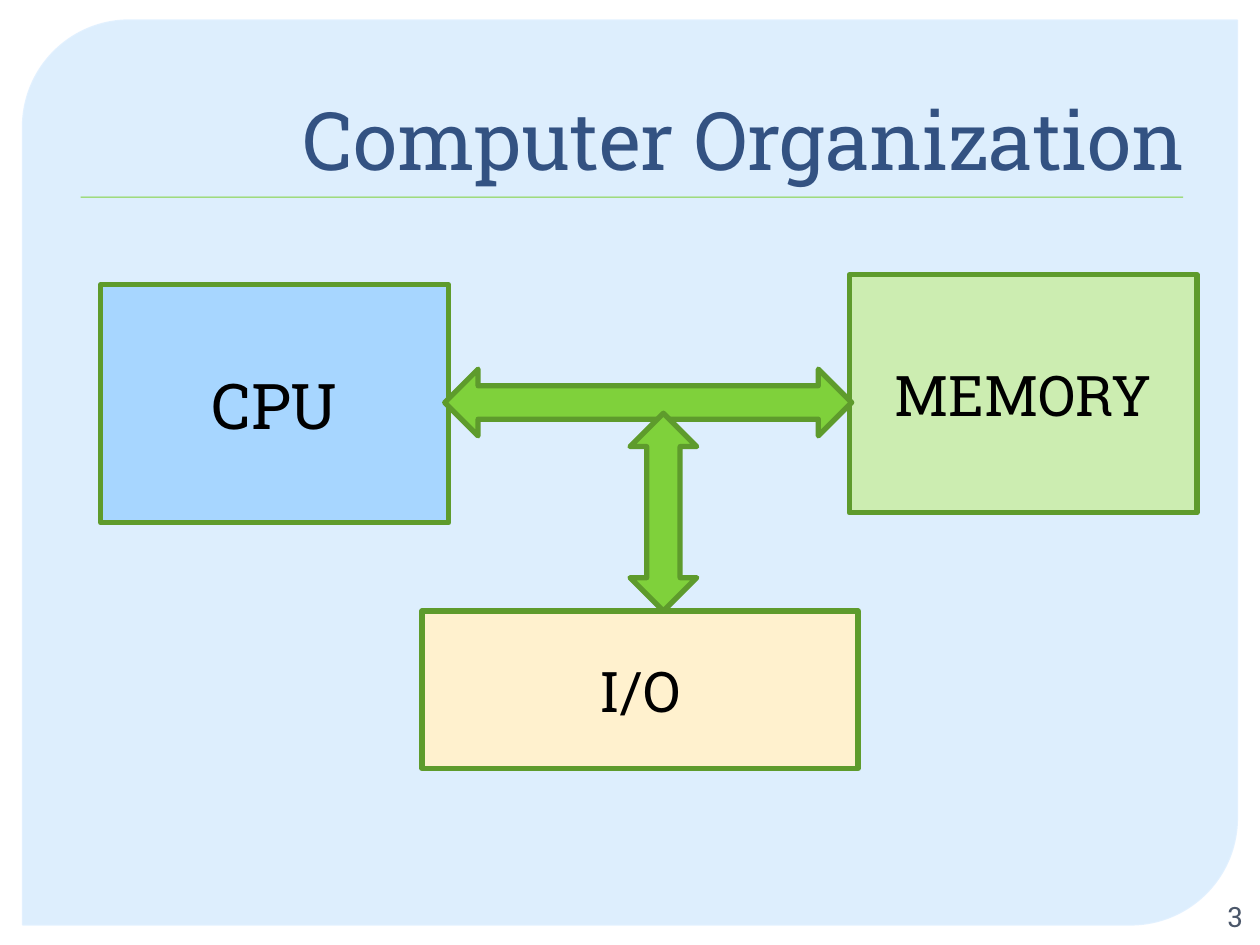
from pptx import Presentation
from pptx.dml.color import RGBColor
from pptx.enum.shapes import MSO_SHAPE
from pptx.enum.text import MSO_ANCHOR, PP_ALIGN
from pptx.oxml.ns import qn
from pptx.util import Inches, Pt
from lxml.etree import SubElement

THEME = {
    "font": "Roboto Slab",
    "panel": "CBE5FC", "panel_line": "E0F0FF",
    "green": "7FD13B", "outline": "5E9B2C",
    "title": "335282", "number": "4B576A", "label": "000000",
    "title_size": 46, "number_size": 16, "large": 36, "medium": 32,
    "outline_width": 3,
}

PANEL = (0.18, 0.16, 9.64, 7.18)
RULE = (0.64, 1.56, 8.75, 0.01)
TITLE = ("Computer Organization", (0.5, 0.28, 9, 1.25))
NUMBER = ("3", (9.45, 7.12, 0.51, 0.3))
UNITS = [
    ("CPU", (0.8, 2.26, 2.76, 1.89), "A7D6FF", "large"),
    ("MEMORY", (6.74, 2.18, 2.76, 1.89), "CCEDB1", "medium"),
    ("I/O", (3.35, 4.85, 3.46, 1.25), "FFF1CE", "medium"),
]
BUSES = [
    ((3.53, 2.93, 3.23, 0.53), 0),
    ((4.48, 3.8, 1.57, 0.53), 90),
]


def color(name):
    return RGBColor.from_string(THEME.get(name, name))


def set_opacity(color_format_parent, percent):
    tint = color_format_parent.find(qn("a:solidFill"))[0]
    SubElement(tint, qn("a:alpha")).set("val", str(percent * 1000))


def add_figure(page, kind, place, fill, line=None, width=0):
    shape = page.shapes.add_shape(kind, *map(Inches, place))
    shape.shadow.inherit = False
    shape.fill.solid()
    shape.fill.fore_color.rgb = color(fill)
    if line:
        shape.line.color.rgb = color(line)
        shape.line.width = Pt(width)
    else:
        shape.line.fill.background()
    return shape


def write(shape, text, size, ink, align, anchor):
    frame = shape.text_frame
    frame.text = text
    frame.word_wrap = True
    frame.vertical_anchor = anchor
    para = frame.paragraphs[0]
    para.alignment = align
    font = para.runs[0].font
    font.name = THEME["font"]
    font.size = Pt(THEME[size])
    font.color.rgb = color(ink)


def add_panel(page):
    panel = add_figure(page, MSO_SHAPE.ROUND_2_DIAG_RECTANGLE, PANEL,
                       "panel", "panel_line", 0.87)
    panel.adjustments[0] = 0.118
    panel.adjustments[1] = 0
    properties = panel._element.spPr
    set_opacity(properties, 65)
    set_opacity(properties.find(qn("a:ln")), 88)


def add_label(page, content, size, ink, anchor):
    text, place = content
    box = page.shapes.add_textbox(*map(Inches, place))
    write(box, text, size, ink, PP_ALIGN.RIGHT, anchor)


def main():
    deck = Presentation()
    deck.slide_width, deck.slide_height = Inches(10), Inches(7.5)
    page = deck.slides.add_slide(deck.slide_layouts[6])

    add_panel(page)
    add_figure(page, MSO_SHAPE.RECTANGLE, RULE, "green")
    add_label(page, TITLE, "title_size", "title", MSO_ANCHOR.BOTTOM)
    add_label(page, NUMBER, "number_size", "number", MSO_ANCHOR.MIDDLE)

    for name, place, fill, size in UNITS:
        unit = add_figure(page, MSO_SHAPE.RECTANGLE, place, fill,
                          "outline", THEME["outline_width"])
        write(unit, name, size, "label", PP_ALIGN.CENTER, MSO_ANCHOR.MIDDLE)

    for place, angle in BUSES:
        bus = add_figure(page, MSO_SHAPE.LEFT_RIGHT_ARROW, place, "green",
                         "outline", THEME["outline_width"])
        bus.rotation = angle

    deck.save("out.pptx")


if __name__ == "__main__":
    main()
